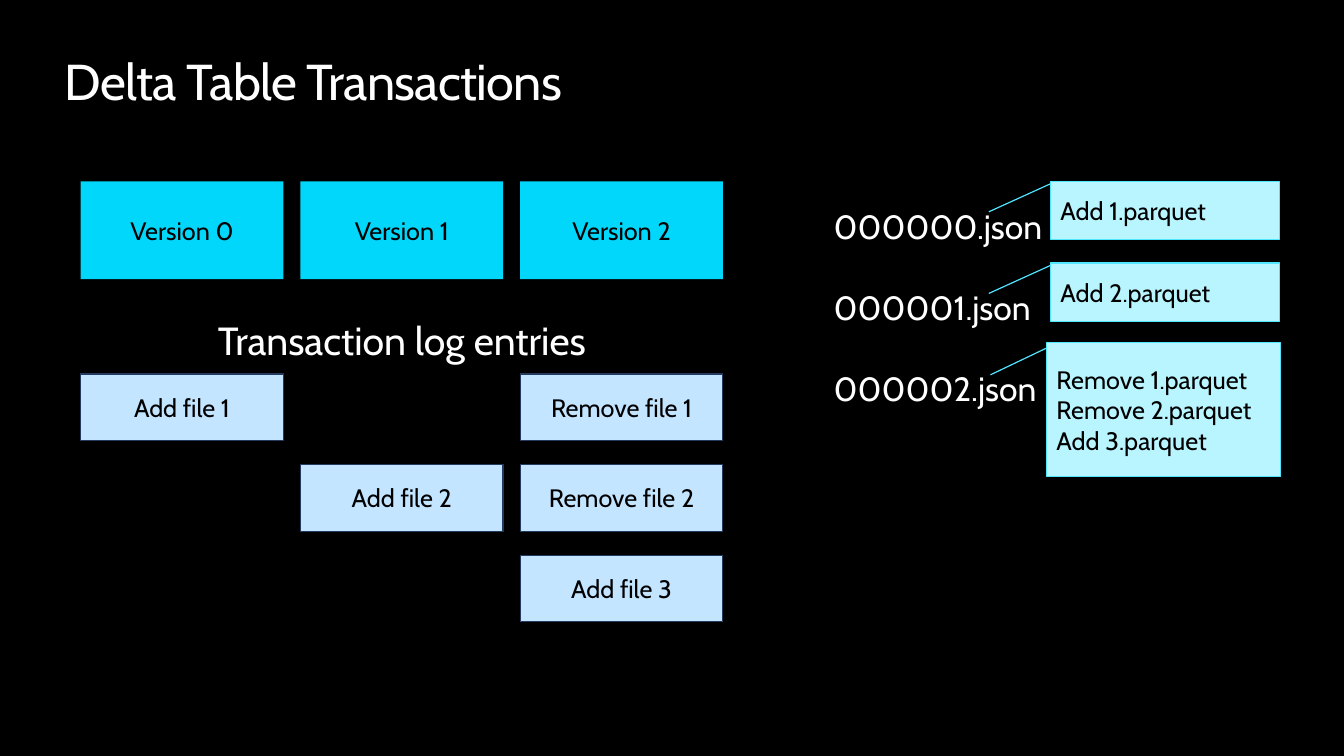
from dataclasses import dataclass

from pptx import Presentation
from pptx.dml.color import RGBColor as Rgb
from pptx.enum.shapes import MSO_SHAPE as Shape
from pptx.enum.text import MSO_ANCHOR as Anchor, PP_ALIGN as Align
from pptx.util import Pt

PX = 9144


@dataclass(frozen=True)
class Theme:
    font: str = "Cabin"
    dark: str = "000000"
    light: str = "FFFFFF"
    version: str = "00D7FB"
    entry: str = "C3E5FF"
    entry_line: str = "243A5E"
    callout: str = "B9F5FF"
    callout_line: str = "50E6FF"
    title_size: int = 36
    heading_size: int = 28
    file_size: int = 24
    body_size: int = 18
    line_width: float = 0.85


class SlideBuilder:
    """Draws the elements of one slide in a shared theme, with lengths in px."""

    def __init__(self, page, theme):
        self.page = page
        self.theme = theme
        page.background.fill.solid()
        page.background.fill.fore_color.rgb = Rgb.from_string(theme.dark)

    def set_text(self, shape, lines, size, color, align=Align.LEFT, gap=0):
        frame = shape.text_frame
        frame.word_wrap = True
        frame.text = "\n".join(lines)
        for index, para in enumerate(frame.paragraphs):
            para.alignment = align
            para.space_before = Pt(gap if index else 0)
            para.font.name = self.theme.font
            para.font.size = Pt(size)
            para.font.color.rgb = Rgb.from_string(color)
        return frame

    def text(self, area, lines, size, align=Align.LEFT, gap=0):
        box = self.page.shapes.add_textbox(*(n * PX for n in area))
        return self.set_text(box, lines, size, self.theme.light, align, gap)

    def title(self, area, words):
        frame = self.text(area, [words], self.theme.title_size)
        frame.margin_left = frame.margin_right = 0
        frame.margin_top = frame.margin_bottom = 0
        span = frame.paragraphs[0].runs[0]
        span._r.get_or_add_rPr().set("spc", "-50")

    def box(self, area, lines, fill, line=None, kind=Shape.RECTANGLE, align=Align.CENTER):
        shape = self.page.shapes.add_shape(kind, *(n * PX for n in area))
        shape.shadow.inherit = False
        shape.fill.solid()
        shape.fill.fore_color.rgb = Rgb.from_string(fill)
        if line:
            shape.line.color.rgb = Rgb.from_string(line)
            shape.line.width = Pt(self.theme.line_width)
        else:
            shape.line.fill.background()
        frame = self.set_text(shape, lines, self.theme.body_size, self.theme.dark, align)
        frame.vertical_anchor = Anchor.MIDDLE
        return shape

    def callout(self, area, lines, pointer):
        theme = self.theme
        shape = self.box(area, lines, theme.callout, theme.callout_line,
                         Shape.LINE_CALLOUT_1, Align.LEFT)
        for index, value in enumerate((0.04, 0, *pointer)):
            shape.adjustments[index] = value


def main():
    deck = Presentation()
    deck.slide_width, deck.slide_height = 1333 * PX, 750 * PX
    theme = Theme()
    slide = SlideBuilder(deck.slides.add_slide(deck.slide_layouts[6]), theme)

    slide.title((64, 50, 1205, 61), "Delta Table Transactions")

    left, column_step, width = 80, 218, 201
    entries_top, row_step = 371, 90
    entries = [
        {0: "Add file 1"},
        {1: "Add file 2"},
        {0: "Remove file 1", 1: "Remove file 2", 2: "Add file 3"},
    ]
    for version, files in enumerate(entries):
        x = left + version * column_step
        slide.box((x, 180, width, 97), [f"Version {version}"], theme.version)
        for row, entry in files.items():
            slide.box((x, entries_top + row * row_step, width, 66), [entry],
                      theme.entry, theme.entry_line)
    slide.text((80, 309, 637, 57), ["Transaction log entries"],
               theme.heading_size, Align.CENTER)

    log_files = [f"{number:06}.json" for number in range(3)]
    slide.text((817, 199, 235, 212), log_files, theme.file_size, gap=29)
    short_pointer, tall_pointer = (0.52, -0.27), (0.24, -0.24)
    slide.callout((1042, 180, 227, 58), ["Add 1.parquet"], short_pointer)
    slide.callout((1042, 261, 227, 58), ["Add 2.parquet"], short_pointer)
    slide.callout((1038, 340, 232, 133),
                  ["Remove 1.parquet", "Remove 2.parquet", "Add 3.parquet"], tall_pointer)

    deck.save("out.pptx")


if __name__ == "__main__":
    main()
